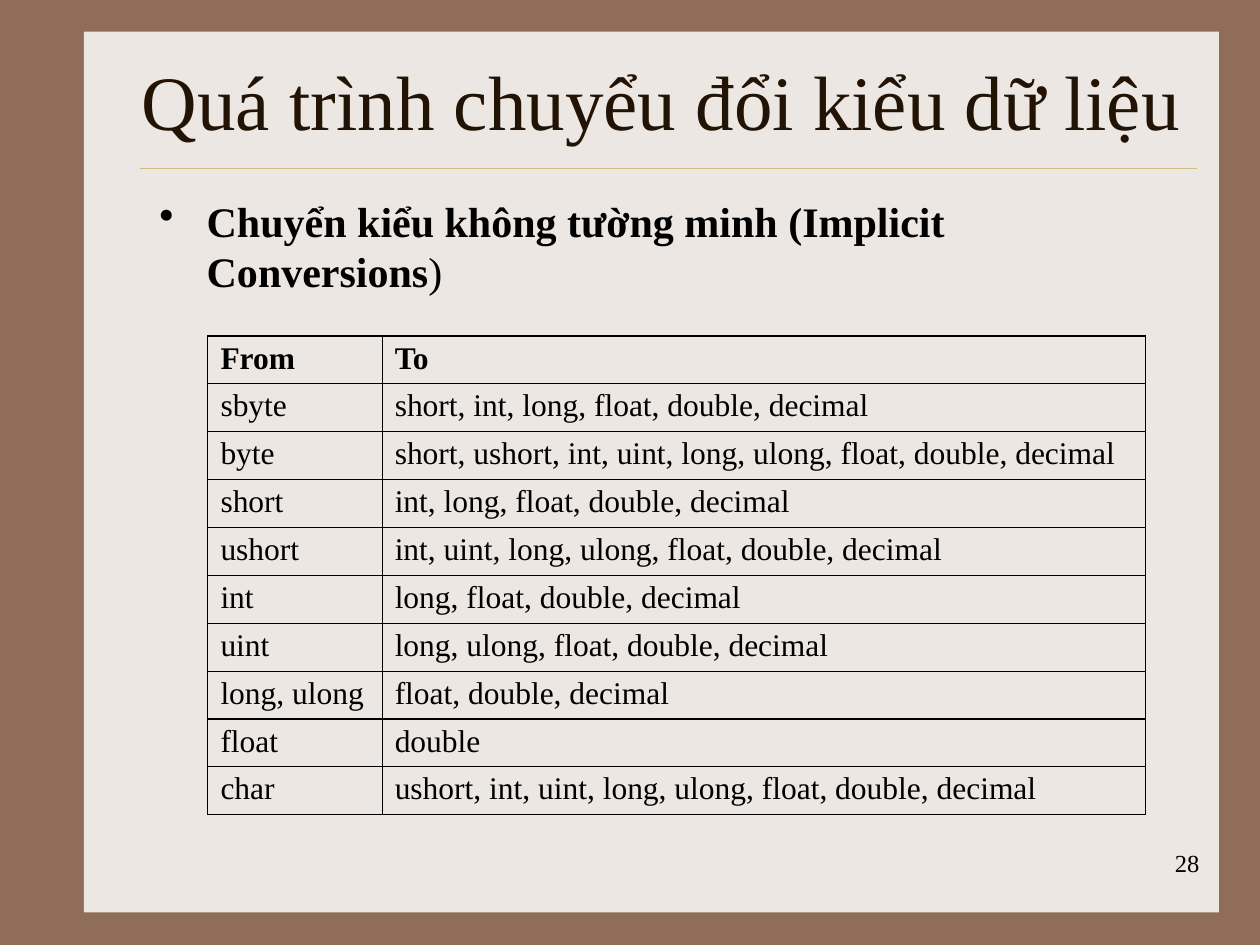
from dataclasses import dataclass

from lxml import etree
from pptx import Presentation
from pptx import util as u
from pptx.dml.color import RGBColor
from pptx.enum import shapes, text
from pptx.oxml.ns import qn


@dataclass(frozen=True)
class Theme:
    font: str = "Times New Roman"
    back: str = "906D58"
    panel: str = "EDE7E3"
    rule: str = "CBBD83"
    title: str = "221304"
    ink: str = "000000"
    head: int = 44
    body: int = 24
    cell: int = 18
    note: int = 14


@dataclass(frozen=True)
class Box:
    col: float
    row: float
    wide: float
    high: float

    def place(self) -> tuple:
        return tuple(grid(n) for n in (self.col, self.row, self.wide, self.high))


@dataclass(frozen=True)
class Row:
    source: str
    target: str
    bold: bool = False


THEME = Theme()
COLS, ROWS = 120, 90
UNIT = u.Inches(10) / COLS
HANG = 4.5
WIDTHS = (16.6, 72.7)
HIGH = 4.5
TYPES = (
    Row("From", "To", True),
    Row("sbyte", "short, int, long, float, double, decimal"),
    Row("byte", "short, ushort, int, uint, long, ulong, float, double, decimal"),
    Row("short", "int, long, float, double, decimal"),
    Row("ushort", "int, uint, long, ulong, float, double, decimal"),
    Row("int", "long, float, double, decimal"),
    Row("uint", "long, ulong, float, double, decimal"),
    Row("long, ulong", "float, double, decimal"),
    Row("float", "double"),
    Row("char", "ushort, int, uint, long, ulong, float, double, decimal"),
)


def grid(n: float) -> int:
    return round(n * UNIT)


def tint(code: str) -> RGBColor:
    return RGBColor.from_string(code)


def write(frame, *runs: str, size: int, color: str = THEME.ink,
          bold: tuple = (False,), align=text.PP_ALIGN.LEFT,
          hang: bool = False, mark: str = "") -> None:
    frame.word_wrap = True
    para = frame.paragraphs[0]
    para.alignment = align
    for words, heavy in zip(runs, bold):
        run = para.add_run()
        run.text = words
        font = run.font
        font.name, font.size, font.bold = THEME.font, u.Pt(size), heavy
        font.color.rgb = tint(color)
    props = para._p.get_or_add_pPr()
    if hang:
        props.set("marL", str(grid(HANG)))
        props.set("indent", str(-grid(HANG)))
    if mark:
        para.space_before = u.Pt(size * 0.2)
        etree.SubElement(props, qn("a:buChar")).set("char", mark)


def label(slide, box: Box, *runs: str, anchor=text.MSO_ANCHOR.TOP, **form) -> None:
    frame = slide.shapes.add_textbox(*box.place()).text_frame
    frame.vertical_anchor = anchor
    write(frame, *runs, **form)


def panel(slide, box: Box) -> None:
    shape = slide.shapes.add_shape(shapes.MSO_SHAPE.RECTANGLE, *box.place())
    shape.shadow.inherit = False
    shape.fill.solid()
    shape.fill.fore_color.rgb = tint(THEME.panel)
    shape.line.fill.background()


def rule(slide, left: float, right: float, row: float) -> None:
    line = slide.shapes.add_connector(
        shapes.MSO_CONNECTOR.STRAIGHT, grid(left), grid(row), grid(right), grid(row))
    line.line.color.rgb = tint(THEME.rule)
    line.line.width = u.Pt(0.25)
    etree.SubElement(line._element.spPr, qn("a:effectLst"))


def border(cell) -> None:
    props = cell._tc.get_or_add_tcPr()
    for spot, side in enumerate(("lnL", "lnR", "lnT", "lnB")):
        edge = etree.Element(qn(f"a:{side}"), w=str(u.Pt(0.75)))
        fill = etree.SubElement(edge, qn("a:solidFill"))
        etree.SubElement(fill, qn("a:srgbClr")).set("val", THEME.ink)
        props.insert(spot, edge)


def table(slide, col: float, row: float, rows: tuple) -> None:
    box = Box(col, row, sum(WIDTHS), HIGH * len(rows))
    chart = slide.shapes.add_table(len(rows), len(WIDTHS), *box.place()).table
    chart.first_row = chart.horz_banding = False
    for side, wide in zip(chart.columns, WIDTHS):
        side.width = grid(wide)
    for line, item in zip(chart.rows, rows):
        line.height = grid(HIGH)
        for cell, words in zip(line.cells, (item.source, item.target)):
            cell.margin_top = cell.margin_bottom = u.Inches(0.04)
            cell.fill.background()
            border(cell)
            write(cell.text_frame, words, size=THEME.cell,
                  bold=(item.bold,), hang=True)


def main() -> None:
    deck = Presentation()
    deck.slide_width, deck.slide_height = grid(COLS), grid(ROWS)
    slide = deck.slides.add_slide(deck.slide_layouts[6])
    slide.background.fill.solid()
    slide.background.fill.fore_color.rgb = tint(THEME.back)
    panel(slide, Box(8, 3, 108.1, 83.9))
    rule(slide, 13.3, 114, 16)
    label(slide, Box(90.4, 80.2, 25, 6), "28", size=THEME.note,
          align=text.PP_ALIGN.RIGHT)
    label(slide, Box(12, 5, 102, 9), "Quá trình chuyểu đổi kiểu dữ liệu",
          size=THEME.head, color=THEME.title, align=text.PP_ALIGN.CENTER,
          anchor=text.MSO_ANCHOR.MIDDLE)
    label(slide, Box(14, 18, 100, 6.2),
          "Chuyển kiểu không tường minh (Implicit Conversions", ")",
          size=THEME.body, bold=(True, False), hang=True, mark="•")
    table(slide, 19.8, 32, TYPES)
    deck.save("out.pptx")


main()
